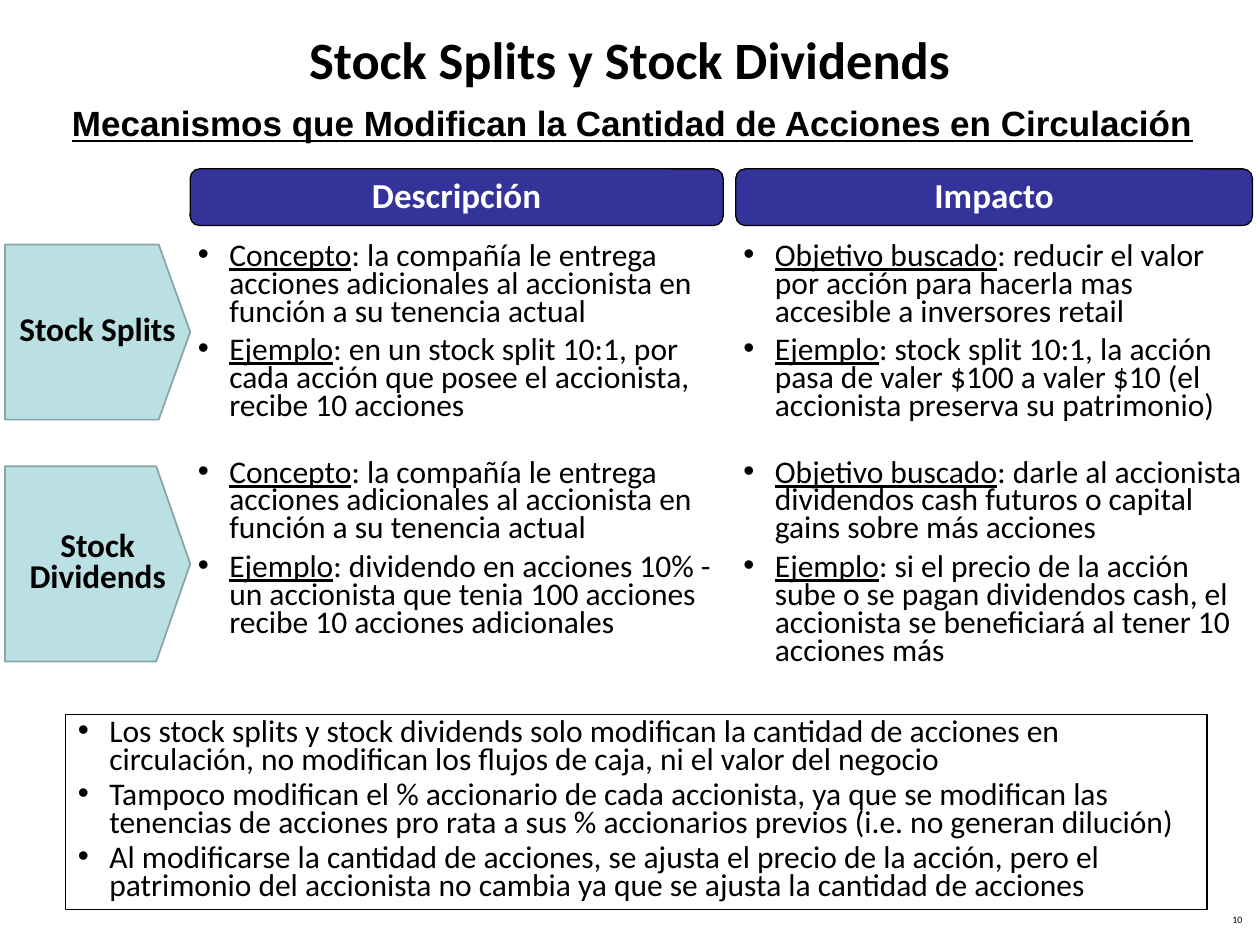
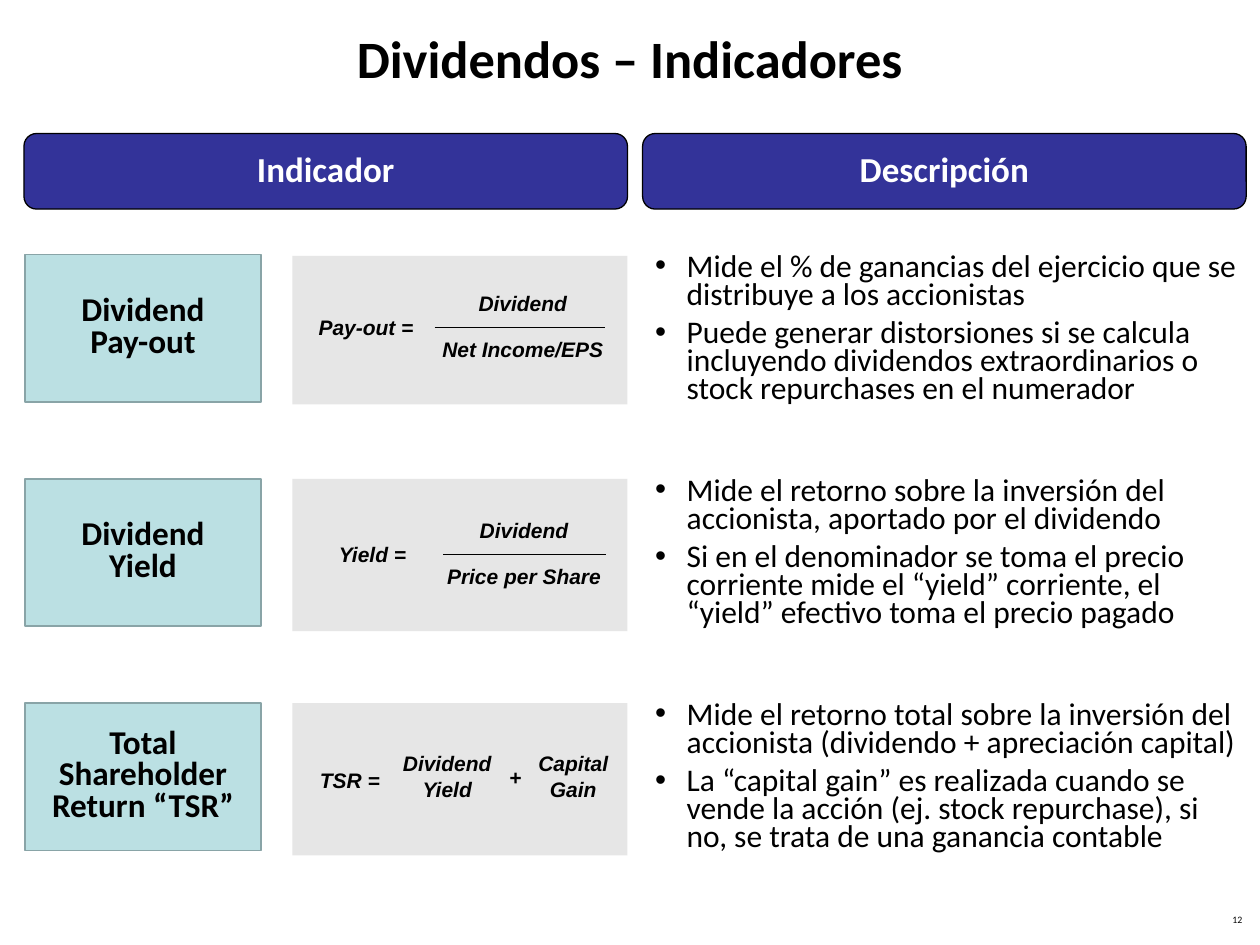
from lxml import etree
from pptx import Presentation
from pptx.dml.color import RGBColor
from pptx.enum.shapes import MSO_CONNECTOR, MSO_SHAPE
from pptx.enum.text import MSO_ANCHOR, MSO_AUTO_SIZE, PP_ALIGN
from pptx.oxml.ns import qn
from pptx.util import Inches, Pt

RECT, ROUND_RECT = MSO_SHAPE.RECTANGLE, MSO_SHAPE.ROUNDED_RECTANGLE
STRAIGHT = MSO_CONNECTOR.STRAIGHT
TOP, MIDDLE = MSO_ANCHOR.TOP, MSO_ANCHOR.MIDDLE
NO_FIT = MSO_AUTO_SIZE.NONE
LEFT, CENTER, RIGHT = PP_ALIGN.LEFT, PP_ALIGN.CENTER, PP_ALIGN.RIGHT

BLACK = RGBColor(0x00, 0x00, 0x00)
WHITE = RGBColor(0xFF, 0xFF, 0xFF)
NAVY = RGBColor(0x33, 0x33, 0x99)
AQUA = RGBColor(0xBB, 0xE0, 0xE3)
AQUA_EDGE = RGBColor(0x89, 0xA4, 0xA7)
GREY = RGBColor(0xE6, 0xE6, 0xE6)

# Text styles: font values and paragraph values
TITLE = (dict(name="Calibri", size=Pt(30), bold=True), dict(alignment=CENTER))
SUBTITLE = (dict(name="Arial", size=Pt(20), bold=True, underline=True),
            dict(alignment=CENTER))
HEADER = (dict(name="Calibri", size=Pt(20), bold=True),
          dict(alignment=CENTER, line_spacing=0.9))
LABEL = (dict(name="Calibri", size=Pt(19), bold=True),
         dict(alignment=CENTER, line_spacing=Pt(18)))
LIST = (dict(name="Calibri", size=Pt(18)),
        dict(alignment=LEFT, line_spacing=Pt(16), space_before=Pt(6)))
NOTE = (LIST[0], {**LIST[1], "space_before": Pt(4)})
FORMULA = (dict(name="Arial", size=Pt(12), bold=True, italic=True),
           dict(alignment=CENTER))
FORMULA_LEFT = (FORMULA[0], dict(alignment=LEFT))
PAGE = (dict(name="Calibri", size=Pt(5.6)),
        dict(alignment=RIGHT, line_spacing=0.8))


def apply(obj, values):
    for name, value in values.items():
        setattr(obj, name, value)


def add_bullet(p):
    pPr = p._p.get_or_add_pPr()
    pPr.set("marL", str(Inches(0.25)))
    pPr.set("indent", str(-Inches(0.25)))
    etree.SubElement(pPr, qn("a:buFont")).set("typeface", "Arial")
    etree.SubElement(pPr, qn("a:buChar")).set("char", "•")


def write(tf, paragraphs, style, color=BLACK, anchor=TOP, wrap=True,
          inset=(0.1, 0.05), bullets=False):
    """Fill a frame; a (lead, rest) paragraph gets an underlined lead."""
    dx, dy = (Inches(v) for v in inset)
    apply(tf, dict(auto_size=NO_FIT, word_wrap=wrap, vertical_anchor=anchor,
                   margin_left=dx, margin_right=dx,
                   margin_top=dy, margin_bottom=dy))
    font, layout = style
    for i, text in enumerate(paragraphs):
        p = tf.add_paragraph() if i else tf.paragraphs[0]
        apply(p, layout)
        if bullets:
            add_bullet(p)
        runs = (text,) if isinstance(text, str) else text
        for j, part in enumerate(runs):
            r = p.add_run()
            r.text = part
            apply(r.font, font)
            r.font.color.rgb = color
            if len(runs) > 1:
                r.font.underline = j == 0


def place(sp, box):
    apply(sp, dict(zip(("left", "top", "width", "height"), map(Inches, box))))


def paint(sp, fill=None, line=None, width=0.75):
    sp.shadow.inherit = False
    if fill is None:
        sp.fill.background()
    else:
        sp.fill.solid()
        sp.fill.fore_color.rgb = fill
    if line is None:
        sp.line.fill.background()
    else:
        sp.line.color.rgb = line
        sp.line.width = Pt(width)


def add_box(slide, kind, box, fill=None, line=None, width=0.75):
    sp = slide.shapes.add_shape(kind, *map(Inches, box))
    paint(sp, fill, line, width)
    return sp


def add_text(slide, box, paragraphs, style, **options):
    sp = slide.shapes.add_textbox(*map(Inches, box))
    write(sp.text_frame, paragraphs, style, **options)


def add_header(slide, box, text):
    sp = add_box(slide, ROUND_RECT, box, NAVY, BLACK)
    write(sp.text_frame, [text], HEADER, WHITE, MIDDLE)


def add_pentagon(slide, box, text, tip):
    x, y, w, h = box
    points = [(x, y), (x + w - tip, y), (x + w, y + h / 2),
              (x + w - tip, y + h), (x, y + h)]
    points = [(Inches(a), Inches(b)) for a, b in points]
    fb = slide.shapes.build_freeform(*points[0])
    fb.add_line_segments(points[1:], close=True)
    sp = fb.convert_to_shape()
    paint(sp, AQUA, AQUA_EDGE, 1)
    write(sp.text_frame, [text], LABEL, anchor=MIDDLE)


def fill_list(sp, box, groups, group_gap):
    """Write groups of bullets, with a wider gap before each new group."""
    place(sp, box)
    write(sp.text_frame, [t for g in groups for t in g], LIST, bullets=True)
    start = 0
    for group in groups[:-1]:
        start += len(group)
        sp.text_frame.paragraphs[start].space_before = Pt(group_gap)


def new_slide(prs, layout, title, top, number):
    slide = prs.slides.add_slide(prs.slide_layouts[layout])
    place(slide.shapes.title, (0, top, 10, 0.91))
    write(slide.shapes.title.text_frame, [title], TITLE, anchor=MIDDLE)
    add_text(slide, (7.63, 7.22, 2.33, 0.21), [number], PAGE)
    return slide


def add_formula_text(slide, center, top, width, *lines):
    add_text(slide, (center - width / 2, top, width, 0.06 + 0.2 * len(lines)),
             lines, FORMULA, wrap=False, inset=(0.05, 0.03))


def add_formula_name(slide, x, y, text):
    add_text(slide, (x, y, 0.95, 0.3), [text], FORMULA_LEFT, wrap=False)


def add_fraction(slide, box, name, name_x, bar, center, over, under):
    """Name, numerator, bar and denominator, relative to the panel."""
    x, y = box[:2]
    x1, x2, dy = bar
    bar_y = y + dy
    add_formula_name(slide, x + name_x, bar_y - 0.15, name)
    add_formula_text(slide, x + center, bar_y - 0.32, 0.8, over)
    add_formula_text(slide, x + center, bar_y + 0.04, 1.36, under)
    line = slide.shapes.add_connector(
        STRAIGHT, *map(Inches, (x + x1, bar_y, x + x2, bar_y)))
    line.line.color.rgb = BLACK
    line.line.width = Pt(0.5)
    etree.SubElement(line._element.spPr, qn("a:effectLst"))


def add_sum(slide, box):
    x, y = box[:2]
    add_formula_name(slide, x + 0.12, y + 0.46, "TSR =")
    add_formula_text(slide, x + 1.23, y + 0.35, 0.8, "Dividend", "Yield")
    add_formula_text(slide, x + 1.77, y + 0.46, 0.2, "+")
    add_formula_text(slide, x + 2.23, y + 0.35, 0.66, "Capital", "Gain")


def build_splits(prs):
    slide = new_slide(prs, 3, "Stock Splits y Stock Dividends", 0.01, "10")
    add_text(slide, (0.32, 0.76, 9.4, 0.44),
             ["Mecanismos que Modifican la Cantidad de Acciones en Circulación"],
             SUBTITLE)

    # Column headers and row labels
    add_header(slide, (1.51, 1.34, 4.23, 0.45), "Descripción")
    add_header(slide, (5.84, 1.34, 4.1, 0.45), "Impacto")
    add_pentagon(slide, (0.04, 1.94, 1.47, 1.39), "Stock Splits", 0.25)
    add_pentagon(slide, (0.04, 3.7, 1.47, 1.55), "Stock Dividends", 0.27)

    # Column lists
    concept = ("Concepto", ": la compañía le entrega acciones adicionales al "
               "accionista en función a su tenencia actual")
    description = [
        [concept,
         ("Ejemplo", ": en un stock split 10:1, por cada acción que posee el "
          "accionista, recibe 10 acciones")],
        [concept,
         ("Ejemplo", ": dividendo en acciones 10% - un accionista que tenia "
          "100 acciones recibe 10 acciones adicionales")]]
    impact = [
        [("Objetivo buscado", ": reducir el valor por acción para hacerla mas "
          "accesible a inversores retail"),
         ("Ejemplo", ": stock split 10:1, la acción pasa de valer $100 a valer "
          "$10 (el accionista preserva su patrimonio)")],
        [("Objetivo buscado", ": darle al accionista dividendos cash futuros o "
          "capital gains sobre más acciones"),
         ("Ejemplo", ": si el precio de la acción sube o se pagan dividendos "
          "cash, el accionista se beneficiará al tener 10 acciones más")]]
    fill_list(slide.placeholders[1], (1.47, 1.89, 4.38, 3.3), description, 22)
    fill_list(slide.placeholders[2], (5.8, 1.89, 4.2, 3.3), impact, 22)

    # Conclusions
    sp = add_box(slide, RECT, (0.52, 5.67, 9.06, 1.55), line=BLACK)
    write(sp.text_frame, [
        "Los stock splits y stock dividends solo modifican la cantidad de "
        "acciones en circulación, no modifican los flujos de caja, ni el valor "
        "del negocio",
        "Tampoco modifican el % accionario de cada accionista, ya que se "
        "modifican las tenencias de acciones pro rata a sus % accionarios "
        "previos (i.e. no generan dilución)",
        "Al modificarse la cantidad de acciones, se ajusta el precio de la "
        "acción, pero el patrimonio del accionista no cambia ya que se ajusta "
        "la cantidad de acciones"], NOTE, bullets=True)


def build_indicators(prs):
    slide = new_slide(prs, 1, "Dividendos – Indicadores", 0, "12")
    for x, text in ((0.19, "Indicador"), (5.1, "Descripción")):
        add_header(slide, (x, 1.06, 4.79, 0.6), text)

    # Indicator names and formula panels
    rows = [(["Dividend", "Pay-out"], 0.01, 1.18),
            (["Dividend", "Yield"], 0, 1.21),
            (["Total Shareholder Return “TSR”"], 0, 1.21)]
    panels = []
    for i, (name, dy, height) in enumerate(rows):
        top = 2.02 + 1.78 * i
        sp = add_box(slide, RECT, (0.2, top, 1.87, 1.17), AQUA, AQUA_EDGE, 1)
        write(sp.text_frame, name, LABEL, anchor=MIDDLE)
        panels.append((2.32, top + dy, 2.66, height))
        add_box(slide, RECT, panels[-1], GREY)
    add_fraction(slide, panels[0], "Pay-out =", 0.11, (1.13, 2.48, 0.57), 1.83,
                 "Dividend", "Net Income/EPS")
    add_fraction(slide, panels[1], "Yield =", 0.27, (1.2, 2.49, 0.6), 1.84,
                 "Dividend", "Price per Share")
    add_sum(slide, panels[2])

    # Descriptions
    fill_list(slide.placeholders[1], (5.1, 1.98, 4.85, 4.77), [
        ["Mide el % de ganancias del ejercicio que se distribuye a los "
         "accionistas",
         "Puede generar distorsiones si se calcula incluyendo dividendos "
         "extraordinarios o stock repurchases en el numerador"],
        ["Mide el retorno sobre la inversión del accionista, aportado por el "
         "dividendo",
         "Si en el denominador se toma el precio corriente mide el “yield” "
         "corriente, el “yield” efectivo toma el precio pagado"],
        ["Mide el retorno total sobre la inversión del accionista (dividendo + "
         "apreciación capital)",
         "La “capital gain” es realizada cuando se vende la acción (ej. stock "
         "repurchase), si no, se trata de una ganancia contable"]], 42)


def main():
    prs = Presentation()
    prs.slide_width, prs.slide_height = Inches(10), Inches(7.5)
    build_splits(prs)
    build_indicators(prs)
    prs.save("out.pptx")


if __name__ == "__main__":
    main()
